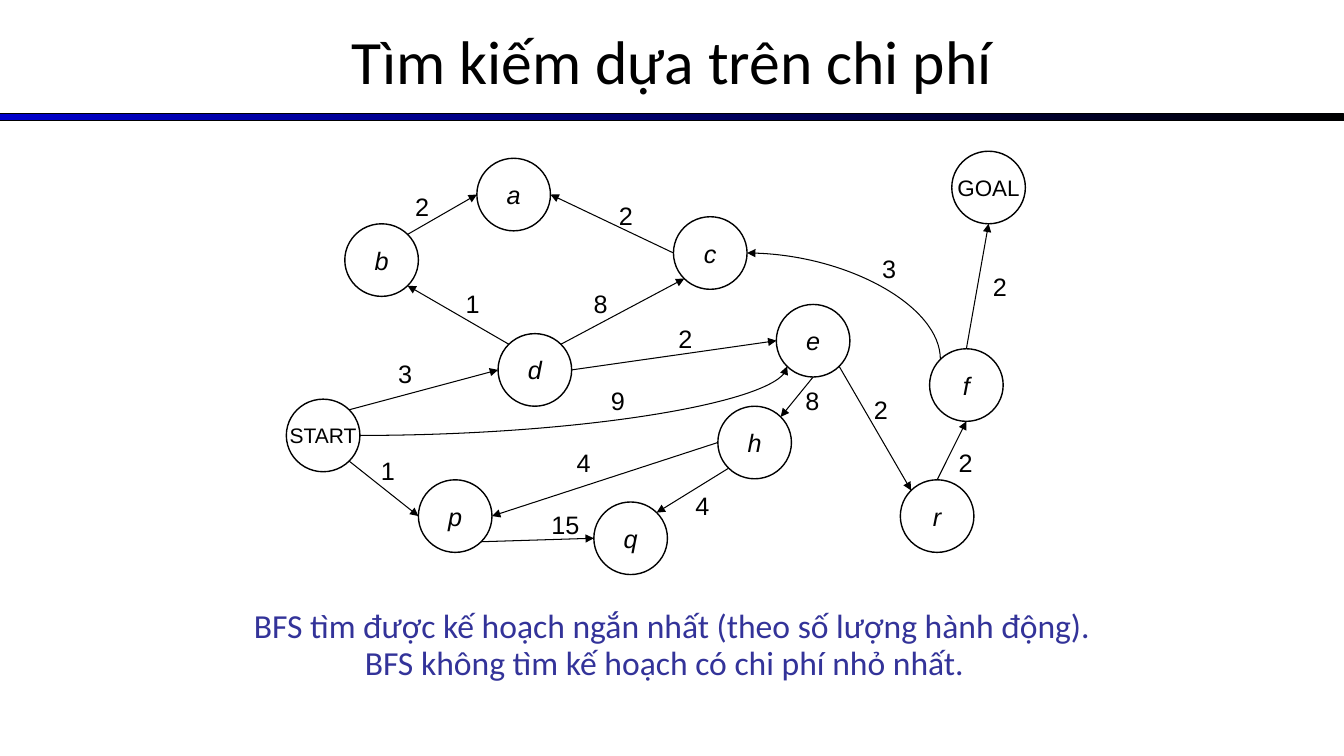
import math
from dataclasses import dataclass

import lxml.etree
import pptx
import pptx.dml.color
import pptx.enum.dml
import pptx.enum.shapes
import pptx.enum.text
import pptx.oxml.ns
import pptx.util

Inches = pptx.util.Inches
Pt = pptx.util.Pt
RGB = pptx.dml.color.RGBColor
qn = pptx.oxml.ns.qn
Shapes = pptx.enum.shapes.MSO_SHAPE
Connectors = pptx.enum.shapes.MSO_CONNECTOR
Anchor = pptx.enum.text.MSO_ANCHOR
Align = pptx.enum.text.PP_ALIGN


@dataclass(frozen=True)
class Theme:
    ink: RGB = RGB(0, 0, 0)
    note: RGB = RGB(0x33, 0x33, 0x99)
    bar_start: RGB = RGB(0, 0, 0xCC)
    text_font: str = "Calibri"
    graph_font: str = "Arial"
    title_size: int = 44
    note_size: int = 24
    graph_size: int = 18
    start_size: int = 15
    goal_size: int = 16
    node_line: float = 1
    edge_line: float = 0.75


theme = Theme()
NODE_WIDTH, NODE_HEIGHT = 0.73, 0.72

# Connection sites of a circle, counterclockwise from the top
SITES = ["top", "top left", "left", "bottom left",
         "bottom", "bottom right", "right", "top right"]

NODES = {
    "START": (2.84, 3.96), "GOAL": (9.44, 1.5), "d": (4.94, 3.31),
    "b": (3.42, 2.22), "p": (4.15, 4.76), "q": (5.89, 4.98),
    "c": (6.68, 2.15), "e": (7.7, 3.02), "h": (7.12, 4.03),
    "a": (4.73, 1.57), "f": (9.22, 3.46), "r": (8.93, 4.76),
}

# From node and site, to node and site, cost, left and top of the cost label
EDGES = [
    ("START", "bottom right", "p", "left", 1, 3.68, 4.47),
    ("p", "bottom right", "q", "left", 15, 5.37, 5),
    ("h", "bottom left", "q", "top right", 4, 6.8, 4.82),
    ("h", "left", "p", "right", 4, 5.62, 4.39),
    ("e", "bottom", "h", "top right", 8, 7.89, 3.77),
    ("e", "bottom right", "r", "top left", 2, 8.57, 3.86),
    ("r", "top", "f", "bottom", 2, 9.41, 4.39),
    ("f", "top", "GOAL", "bottom", 2, 9.75, 2.64),
    ("START", "top right", "d", "left", 3, 3.85, 3.51),
    ("d", "top left", "b", "bottom right", 1, 4.52, 2.81),
    ("b", "top right", "a", "left", 2, 4.02, 1.85),
    ("c", "left", "a", "right", 2, 6.04, 1.94),
    ("d", "top right", "c", "bottom left", 8, 5.79, 2.81),
    ("d", "right", "e", "left", 2, 6.63, 3.16),
    ("f", "top left", "c", "right", 3, 8.65, 2.46),
    ("START", "right", "e", "bottom left", 9, 5.96, 3.77),
]
# Curves leave their first point level; the value is the end with the arrowhead
CURVES = {("f", "c"): "headEnd", ("START", "e"): "tailEnd"}


def site_point(node, site):
    left, top = NODES[node]
    angle = math.radians(90 + 45 * SITES.index(site))
    return (Inches(left + NODE_WIDTH / 2 * (1 + math.cos(angle))),
            Inches(top + NODE_HEIGHT / 2 * (1 - math.sin(angle))))


def write(shape, lines, font_name, size, color, align, italic=False):
    shape.text_frame.text = "\n".join(lines)
    for para in shape.text_frame.paragraphs:
        para.alignment = align
        para.font.name = font_name
        para.font.size = Pt(size)
        para.font.color.rgb = color
        para.font.italic = italic


deck = pptx.Presentation()
deck.slide_width, deck.slide_height = Inches(13.33), Inches(7.5)
page = deck.slides.add_slide(deck.slide_layouts[6])

# Title, bar and conclusion
bar = page.shapes.add_shape(Shapes.RECTANGLE, 0, Inches(1.13), deck.slide_width, Inches(0.07))
bar.shadow.inherit = False
bar.fill.gradient()
bar.fill.gradient_angle = 0
for stop, color in zip(bar.fill.gradient_stops, (theme.bar_start, theme.ink)):
    stop.color.rgb = color
bar.line.color.rgb = theme.ink
bar.line.width = Pt(theme.edge_line)

title = page.shapes.add_textbox(0, Inches(-0.03), deck.slide_width, Inches(1.25))
title.text_frame.word_wrap = True
title.text_frame.vertical_anchor = Anchor.MIDDLE
write(title, ["Tìm kiếm dựa trên chi phí"],
      theme.text_font, theme.title_size, theme.ink, Align.CENTER)

conclusion = page.shapes.add_textbox(0, Inches(6), deck.slide_width, Inches(1.34))
conclusion.text_frame.word_wrap = True
write(conclusion, ["BFS tìm được kế hoạch ngắn nhất (theo số lượng hành động).",
                   "BFS không tìm kế hoạch có chi phí nhỏ nhất.  "],
      theme.text_font, theme.note_size, theme.note, Align.CENTER)
for para in conclusion.text_frame.paragraphs:
    para.line_spacing = 0.9

# Graph nodes
named_sizes = {"START": theme.start_size, "GOAL": theme.goal_size}
circles = {}
for name, (left, top) in NODES.items():
    circle = page.shapes.add_shape(Shapes.FLOWCHART_CONNECTOR, Inches(left), Inches(top),
                                   Inches(NODE_WIDTH), Inches(NODE_HEIGHT))
    circle.shadow.inherit = False
    circle.fill.background()
    circle.line.color.rgb = theme.ink
    circle.line.width = Pt(theme.node_line)
    circle.text_frame.word_wrap = False
    circle.text_frame.vertical_anchor = Anchor.MIDDLE
    write(circle, [name], theme.graph_font, named_sizes.get(name, theme.graph_size),
          theme.ink, Align.CENTER, italic=name not in named_sizes)
    circles[name] = circle

# Graph edges with their costs
for source, source_site, target, target_site, cost, left, top in EDGES:
    ends = [(source, source_site), (target, target_site)]
    arrow_end = CURVES.get((source, target), "tailEnd")
    if arrow_end == "headEnd":
        ends.reverse()
    curved = (source, target) in CURVES
    edge = page.shapes.add_connector(Connectors.CURVE if curved else Connectors.STRAIGHT,
                                     *site_point(*ends[0]), *site_point(*ends[1]))
    edge.line.color.rgb = theme.ink
    edge.line.width = Pt(theme.edge_line)
    lxml.etree.SubElement(edge.line._get_or_add_ln(), qn("a:" + arrow_end), type="triangle")
    properties = edge._element.spPr
    lxml.etree.SubElement(properties, qn("a:effectLst"))
    if curved:
        properties.find(qn("a:prstGeom")).set("prst", "curvedConnector2")
    glue = edge._element.find(".//" + qn("p:cNvCxnSpPr"))
    for tag, (node, site) in zip(("a:stCxn", "a:endCxn"), ends):
        lxml.etree.SubElement(glue, qn(tag), id=str(circles[node].shape_id),
                              idx=str(SITES.index(site)))

    label = page.shapes.add_textbox(Inches(left), Inches(top),
                                    Inches(0.34 if cost < 10 else 0.51), Inches(0.4))
    label.text_frame.word_wrap = True
    write(label, [str(cost)], theme.graph_font, theme.graph_size, theme.ink, Align.LEFT)

deck.save("out.pptx")
